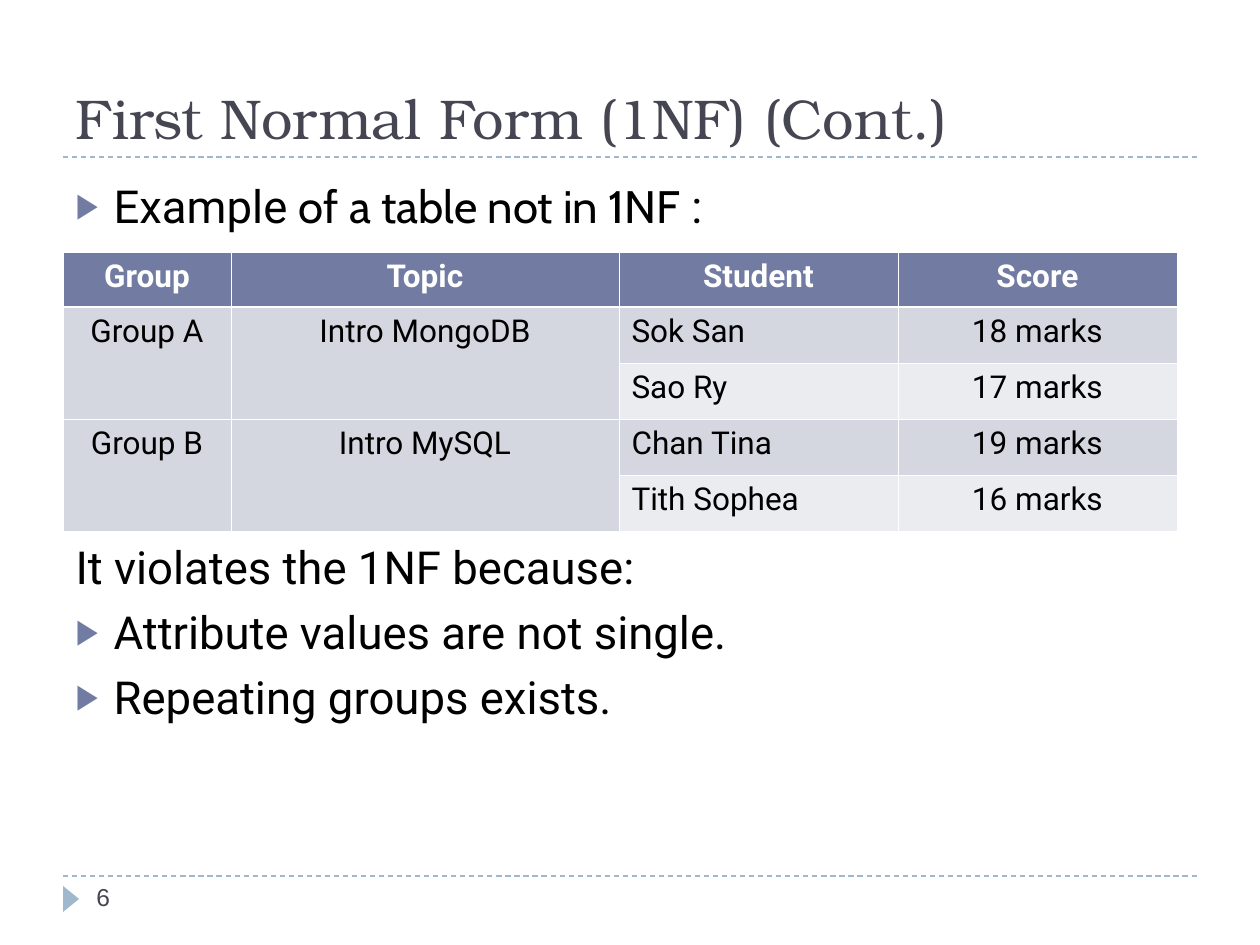
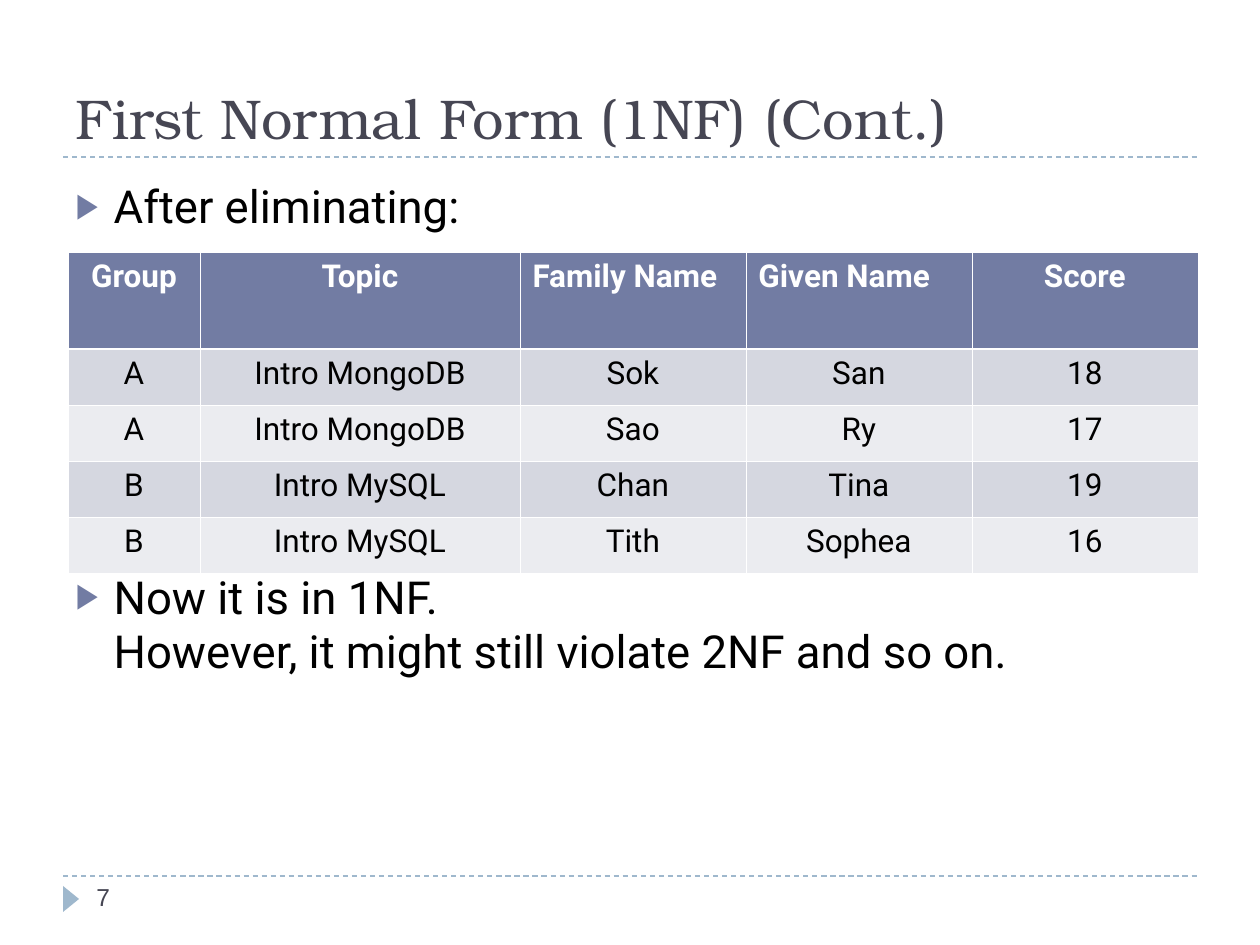
from dataclasses import dataclass

from lxml.etree import SubElement
from pptx import Presentation
from pptx.dml.color import RGBColor
from pptx.enum.dml import MSO_LINE
from pptx.enum.shapes import MSO_CONNECTOR, MSO_SHAPE
from pptx.enum.text import MSO_ANCHOR as ANCHOR
from pptx.enum.text import MSO_AUTO_SIZE as FIT
from pptx.enum.text import PP_ALIGN as ALIGN
from pptx.oxml.ns import qn
from pptx.util import Emu, Pt

EMU_PER_PX = 914400 / 126
COLORS = {
    "ink": "000000",
    "title": "464653",
    "accent": "727CA3",
    "rule": "9FB8CD",
    "white": "FFFFFF",
    "band_dark": "D5D7E0",
    "band_light": "EBECF0",
}
TITLE_FONT, BODY_FONT, ALT_FONT, NUMBER_FONT = "TeX Gyre Bonum", "Roboto", "Cabin", "Arial"
MARGIN, CONTENT_W = 63, 1134
RULE_YS = (157, 876)
TABLE_TOP = 252
BODY_ROW_H = 56
LIST_INDENT = 38
LIST_GAP = 6


@dataclass(frozen=True)
class Piece:
    text: str
    font: str = BODY_FONT


@dataclass(frozen=True)
class Line:
    pieces: tuple[Piece, ...]
    bullet: bool = True
    gap: float = LIST_GAP


@dataclass(frozen=True)
class Grid:
    left: int
    header_h: int
    widths: tuple[int, ...]
    rows: tuple[tuple[str, ...], ...]
    left_aligned: frozenset[tuple[int, int]]


@dataclass(frozen=True)
class Page:
    number: int
    title: str
    lines: tuple[Line, ...]
    grid: Grid


PAGES = (
    Page(
        6,
        "First Normal Form (1NF) (Cont.)",
        (
            Line((Piece("Example "), Piece("of a table not in 1NF ", ALT_FONT), Piece(":")), gap=0),
            Line((Piece("It violates the 1NF because:"),), bullet=False, gap=175),
            Line((Piece("Attribute values are not single."),)),
            Line((Piece("Repeating groups exists."),)),
        ),
        Grid(
            63,
            55,
            (168, 388, 279, 279),
            (
                ("Group", "Topic", "Student", "Score"),
                ("Group A", "Intro MongoDB", "Sok San", "18 marks"),
                ("", "", "Sao Ry", "17 marks"),
                ("Group B", "Intro MySQL", "Chan Tina", "19 marks"),
                ("", "", "Tith Sophea", "16 marks"),
            ),
            frozenset((row, 2) for row in range(1, 5)),
        ),
    ),
    Page(
        7,
        "First Normal Form (1NF) (Cont.)",
        (
            Line((Piece("After eliminating:"),), gap=0),
            Line((Piece("Now it is in 1NF.\vHowever, it might still violate 2NF and so on."),), gap=192),
        ),
        Grid(
            68,
            97,
            (132, 320, 226, 226, 226),
            (
                ("Group", "Topic", "Family Name", "Given Name", "Score"),
                ("A", "Intro MongoDB", "Sok", "San", "18"),
                ("A", "Intro MongoDB", "Sao", "Ry", "17"),
                ("B", "Intro MySQL", "Chan", "Tina", "19"),
                ("B", "Intro MySQL", "Tith", "Sophea", "16"),
            ),
            frozenset({(0, 2), (0, 3)}),
        ),
    ),
)


def px(n: int) -> Emu:
    return Emu(round(n * EMU_PER_PX))


def rgb(name: str) -> RGBColor:
    return RGBColor.from_string(COLORS[name])


def place(sp, left: int, top: int, width: int, height: int) -> None:
    sp.left, sp.top, sp.width, sp.height = px(left), px(top), px(width), px(height)


def style_runs(p, font: str, size: int, color: str, bold: bool = False) -> None:
    for r in p.runs:
        r.font.name, r.font.size, r.font.bold = font, Pt(size), bold
        r.font.color.rgb = rgb(color)


def add_rule(s, y: int) -> None:
    c = s.shapes.add_connector(
        MSO_CONNECTOR.STRAIGHT, px(MARGIN), px(y), px(MARGIN + CONTENT_W), px(y)
    )
    c.line.color.rgb = rgb("rule")
    c.line.width = Pt(0.75)
    c.line.dash_style = MSO_LINE.DASH
    SubElement(c._element.spPr, qn("a:effectLst"))


def add_frame(s, number: int) -> None:
    for y in RULE_YS:
        add_rule(s, y)
    marker = s.shapes.add_shape(MSO_SHAPE.ISOSCELES_TRIANGLE, px(58), px(891), px(26), px(16))
    marker.rotation = 90
    marker.shadow.inherit = False
    marker.fill.solid()
    marker.fill.fore_color.rgb = rgb("rule")
    marker.line.fill.background()
    box = s.shapes.add_textbox(px(84), px(876), px(273), px(50))
    tf = box.text_frame
    tf.word_wrap = True
    tf.text = str(number)
    style_runs(tf.paragraphs[0], NUMBER_FONT, 14, "title")


def set_title(s, text: str) -> None:
    sp = s.shapes.title
    place(sp, MARGIN, 21, CONTENT_W, 136)
    tf = sp.text_frame
    tf.text = text
    tf.auto_size = FIT.NONE
    tf.vertical_anchor = ANCHOR.BOTTOM
    p = tf.paragraphs[0]
    p.alignment = ALIGN.LEFT
    style_runs(p, TITLE_FONT, 32, "title")


def set_bullet(p, shown: bool) -> None:
    pPr = p._p.get_or_add_pPr()
    pPr.set("marL", str(px(LIST_INDENT)))
    pPr.set("indent", str(-px(LIST_INDENT)))
    if not shown:
        SubElement(pPr, qn("a:buNone"))
        return
    color = SubElement(pPr, qn("a:buClr"))
    SubElement(color, qn("a:srgbClr"), val=COLORS["accent"])
    SubElement(pPr, qn("a:buSzPct"), val="76000")
    SubElement(pPr, qn("a:buFont"), typeface=NUMBER_FONT)
    SubElement(pPr, qn("a:buChar"), char="▶")


def set_list(s, lines: tuple[Line, ...]) -> None:
    sp = s.placeholders[1]
    place(sp, MARGIN, 168, CONTENT_W, 680)
    tf = sp.text_frame
    tf.auto_size = FIT.NONE
    tf.margin_top = px(10)
    tf.text = "\n".join("".join(piece.text for piece in line.pieces) for line in lines)
    for p, line in zip(tf.paragraphs, lines):
        p.space_before = Pt(line.gap)
        set_bullet(p, line.bullet)
        if len(line.pieces) > 1:
            p.text = line.pieces[0].text
            for piece in line.pieces[1:]:
                p.add_run().text = piece.text
        style_runs(p, BODY_FONT, 26, "ink")
        for r, piece in zip(p.runs, line.pieces):
            r.font.name = piece.font


def set_borders(cell, row: int) -> None:
    tcPr = cell._tc.get_or_add_tcPr()
    thick = {0: "lnB", 1: "lnT"}.get(row)
    for side in ("lnL", "lnR", "lnT", "lnB"):
        width = Pt(0.75 if side == thick else 0.23)
        ln = SubElement(tcPr, qn(f"a:{side}"), w=str(width))
        fill = SubElement(ln, qn("a:solidFill"))
        SubElement(fill, qn("a:srgbClr"), val=COLORS["white"])


def add_grid(s, grid: Grid) -> None:
    heights = [grid.header_h] + [BODY_ROW_H] * (len(grid.rows) - 1)
    table = s.shapes.add_table(
        len(grid.rows), len(grid.widths),
        px(grid.left), px(TABLE_TOP), px(sum(grid.widths)), px(sum(heights)),
    ).table
    table.horz_banding = False
    for column, width in zip(table.columns, grid.widths):
        column.width = px(width)
    for i, texts in enumerate(grid.rows):
        table.rows[i].height = px(heights[i])
        band = "accent" if i == 0 else "band_dark" if i % 2 else "band_light"
        for j, text in enumerate(texts):
            cell = table.cell(i, j)
            set_borders(cell, i)
            cell.fill.solid()
            cell.fill.fore_color.rgb = rgb(band)
            if not text:
                table.cell(i - 1, j).merge(cell)
                continue
            cell.text_frame.text = text
            p = cell.text_frame.paragraphs[0]
            p.alignment = ALIGN.LEFT if (i, j) in grid.left_aligned else ALIGN.CENTER
            p.line_spacing = 0.98
            style_runs(p, BODY_FONT, 18, "ink" if i else "white", bold=i == 0)


def build_page(prs, page: Page) -> None:
    s = prs.slides.add_slide(prs.slide_layouts[1])
    set_title(s, page.title)
    set_list(s, page.lines)
    add_frame(s, page.number)
    add_grid(s, page.grid)


def main() -> None:
    prs = Presentation()
    prs.slide_width, prs.slide_height = px(1260), px(945)
    for page in PAGES:
        build_page(prs, page)
    prs.save("out.pptx")


if __name__ == "__main__":
    main()
